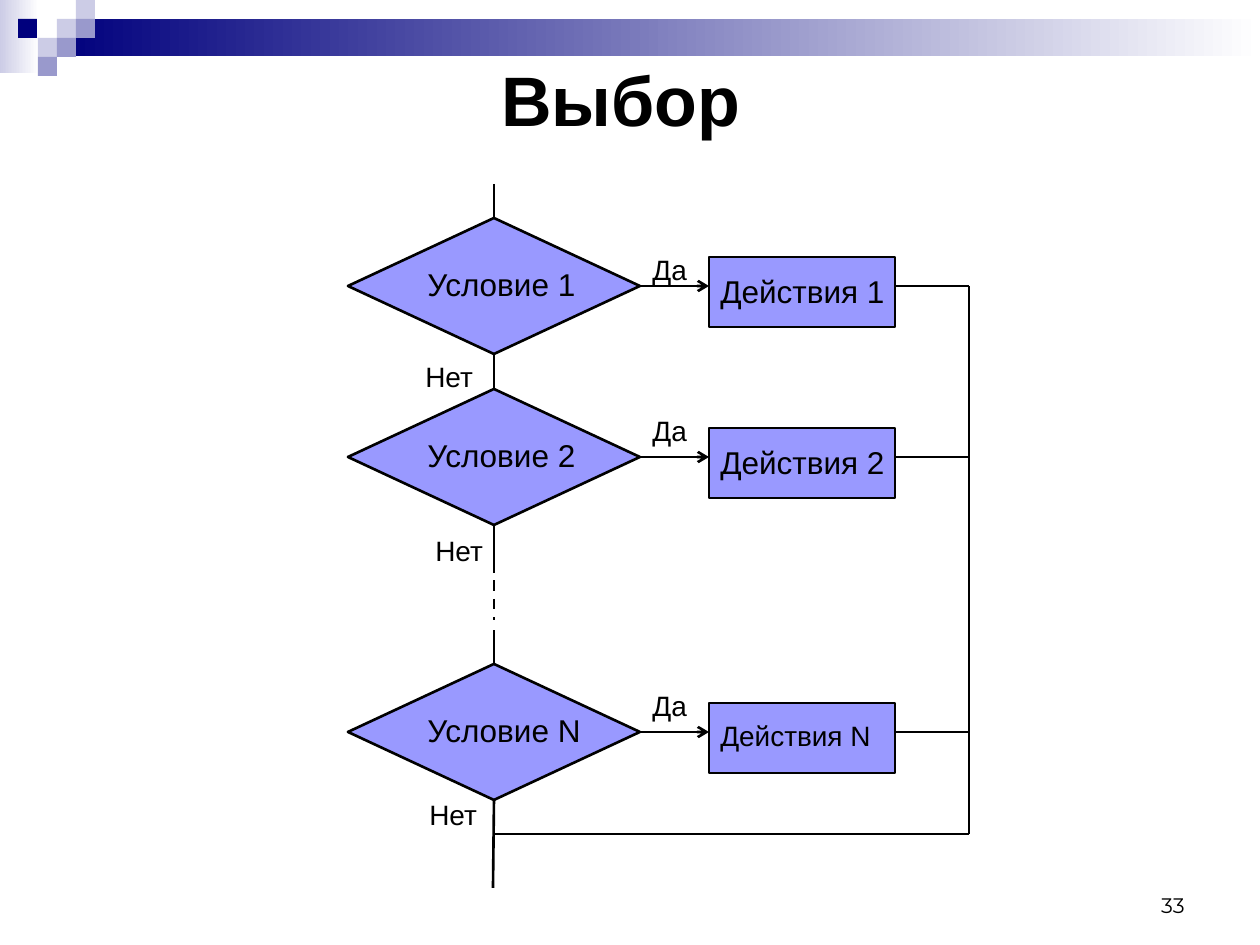
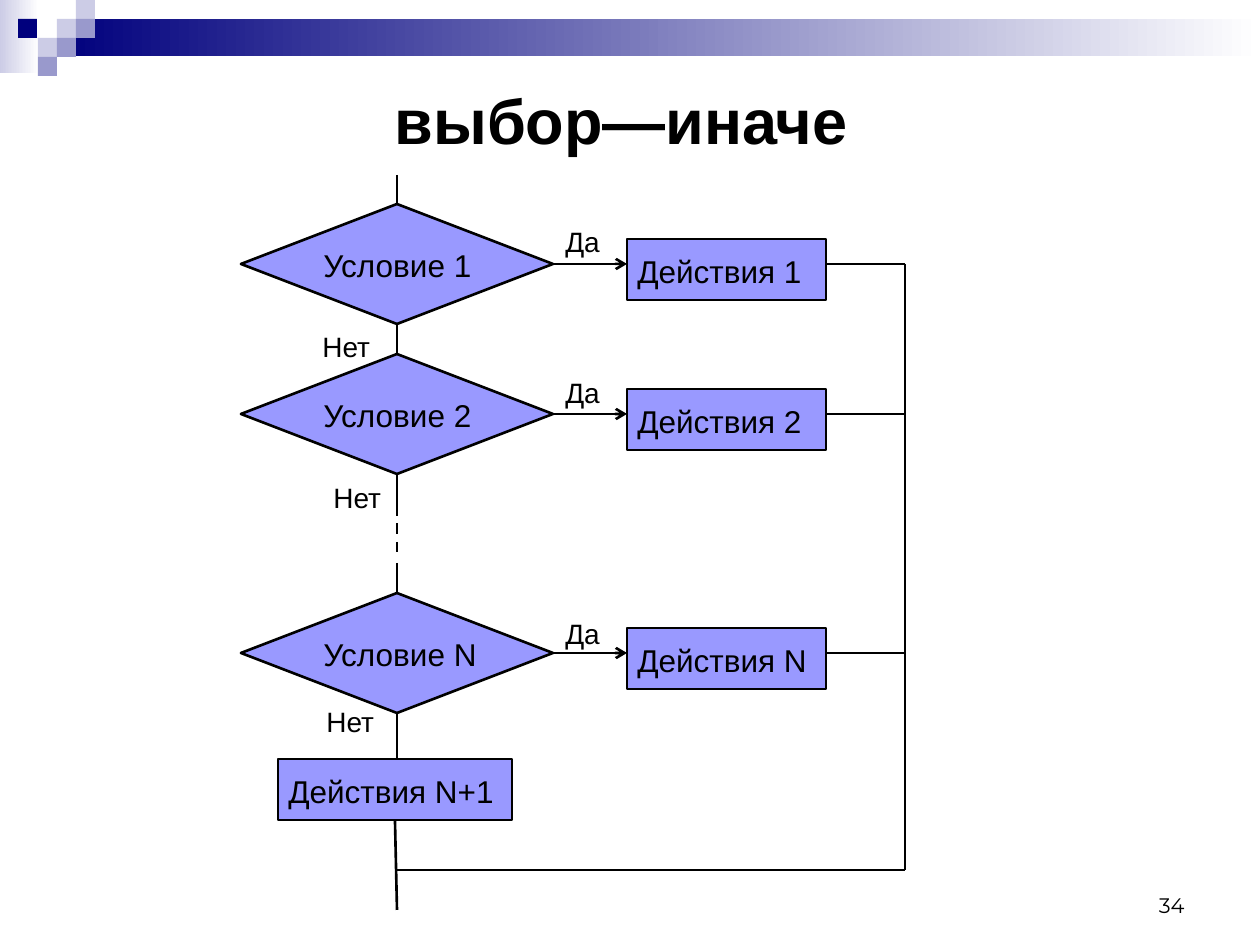
from pptx import Presentation
from pptx.dml.color import RGBColor
from pptx.enum import dml, shapes, text
from pptx.oxml.ns import qn
from pptx.util import Emu, Pt
from lxml import etree

# Content: lengths in px, 126 px to the inch
SCALE = 914400 / 126
COLOURS = {"ink": "000000", "block": "9999FF", "navy": "00007D",
           "pale": "CCCCE6", "mid": "9999CC", "white": "FFFFFF"}
TOP, LEFT, BOTTOM, RIGHT = range(4)

BANDS = [("pale", (0, 0, 39, 73)), ("navy", (57, 19, 1203, 37))]
SQUARE = 19
SQUARE_COLUMNS = (18, 38, 57, 76)
SQUARES = [("pale", 2, 1), ("pale", 3, 0), ("mid", 3, 1), ("pale", 1, 2),
           ("navy", 0, 1), ("mid", 2, 2), ("mid", 1, 3)]
NUMBER_AREA = (903, 861, 294, 63)

NAMES = ("1", "2", "N")
CHARTS = [
    {
        "title": "Выбор ", "title_area": (292, 63, 677, 72), "title_size": 40,
        "number": "33",
        "axis": 494, "start": 184, "tops": (218, 389, 664), "diamond": (292, 136),
        "condition_text": (415, 41, 205),
        "action": (709, 39, 186, 70), "action_text": (708, 9, 190),
        "action_sizes": (18, 18, 16),
        "yes": (640, 68), "yes_tops": (246, 407, 682),
        "no": [(413, 353), (423, 527), (417, 791)], "no_width": 100,
        "gap": (562, 620, 630), "rail": (969, 834), "exit": (493, 888),
        "otherwise": None,
    },
    {
        "title": "выбор—иначе ", "title_area": (63, 63, 1134, 112), "title_size": 36,
        "number": "34",
        "axis": 397, "start": 175, "tops": (204, 354, 593), "diamond": (312, 120),
        "condition_text": (311, 36, 219),
        "action": (627, 35, 199, 61), "action_text": (625, 7, 204),
        "action_sizes": (18, 18, 18),
        "yes": (553, 73), "yes_tops": (218, 369, 610),
        "no": [(310, 323), (321, 474), (314, 698)], "no_width": 107,
        "gap": (505, 556, 563), "rail": (905, 870), "exit": (397, 910),
        "otherwise": ("Действия N+1", (278, 759, 234, 61), (276, 239)),
    },
]


# Helpers
def px(*lengths):
    return [Emu(round(length * SCALE)) for length in lengths]


def colour(name):
    return RGBColor.from_string(COLOURS[name])


def add_text(page, words, area, size, align="LEFT", anchor="TOP", **look):
    box = page.shapes.add_textbox(*px(*area))
    frame = box.text_frame
    frame.word_wrap = True
    frame.vertical_anchor = getattr(text.MSO_ANCHOR, anchor)
    para = frame.paragraphs[0]
    para.alignment = getattr(text.PP_ALIGN, align)
    span = para.add_run()
    span.text = words
    for key, value in ({"name": "Arial", "size": Pt(size)} | look).items():
        setattr(span.font, key, value)
    span.font.color.rgb = colour("ink")


def add_block(page, area, fill, kind="RECTANGLE", outlined=False):
    block = page.shapes.add_shape(getattr(shapes.MSO_SHAPE, kind), *px(*area))
    block.shadow.inherit = False
    block.fill.solid()
    block.fill.fore_color.rgb = colour(fill)
    if outlined:
        block.line.color.rgb = colour("ink")
        block.line.width = Pt(1.5)
    else:
        block.line.fill.background()
    return block


def add_line(page, start, end, begin=None, finish=None, dashed=False, arrow=False):
    """Draw a line; begin and finish are (shape, side) pairs to join."""
    line = page.shapes.add_connector(shapes.MSO_CONNECTOR.STRAIGHT, *px(*start, *end))
    if begin:
        line.begin_connect(*begin)
    if finish:
        line.end_connect(*finish)
    line.line.color.rgb = colour("ink")
    line.line.width = Pt(1.5)
    if dashed:
        line.line.dash_style = dml.MSO_LINE.DASH
    if arrow:
        etree.SubElement(line.line._get_or_add_ln(), qn("a:tailEnd"), type="arrow")
    etree.SubElement(line._element.spPr, qn("a:effectLst"))


# Shared frame: bands, corner squares, title, page number
def add_frame(page, chart):
    for name, area in BANDS:
        band = add_block(page, area, name)
        band.fill.gradient()
        band.fill.gradient_angle = 0
        for stop, shade, position in zip(band.fill.gradient_stops, (name, "white"), (0, 1)):
            stop.color.rgb = colour(shade)
            stop.position = position
    for name, column, row in SQUARES:
        add_block(page, (SQUARE_COLUMNS[column], row * SQUARE, SQUARE, SQUARE), name)
    add_text(page, chart["number"], NUMBER_AREA, 12, "RIGHT", "BOTTOM", name="Montserrat")
    add_text(page, chart["title"], chart["title_area"], chart["title_size"],
             "CENTER", "MIDDLE", bold=True)


# Flowchart
def add_branches(page, chart):
    """Draw each condition with its action; return the diamonds."""
    axis, (width, height) = chart["axis"], chart["diamond"]
    action_left, action_drop, action_width, action_height = chart["action"]
    text_left, text_drop, text_width = chart["condition_text"]
    label_left, label_drop, label_width = chart["action_text"]
    yes_left, yes_width = chart["yes"]
    diamonds = []
    for name, top, size, yes_top, no_place in zip(
            NAMES, chart["tops"], chart["action_sizes"], chart["yes_tops"], chart["no"]):
        middle, action_top = top + height // 2, top + action_drop
        diamond = add_block(page, (axis - width // 2, top, width, height), "block",
                            "FLOWCHART_DECISION", outlined=True)
        diamonds.append(diamond)
        add_block(page, (action_left, action_top, action_width, action_height),
                  "block", outlined=True)
        add_line(page, (axis + width // 2, middle), (action_left, middle),
                 begin=(diamond, RIGHT), arrow=True)
        add_line(page, (action_left + action_width, middle), (chart["rail"][0], middle))
        add_text(page, f"Условие {name}", (text_left, top + text_drop, text_width, 50), 18)
        add_text(page, f"Действия {name}",
                 (label_left, action_top + label_drop, label_width, 50), size)
        add_text(page, "Да", (yes_left, yes_top, yes_width, 47), 16)
        add_text(page, "Нет", (*no_place, chart["no_width"], 47), 16)
    return diamonds


def add_flow(page, chart):
    first, second, last = add_branches(page, chart)
    axis, height = chart["axis"], chart["diamond"][1]
    tops = chart["tops"]
    bottoms = [top + height for top in tops]
    dash_start, dash_end, resume = chart["gap"]
    rail, floor = chart["rail"]

    # Main axis
    add_line(page, (axis, chart["start"]), (axis, tops[0]), finish=(first, TOP))
    add_line(page, (axis, bottoms[0]), (axis, tops[1]), (first, BOTTOM), (second, TOP))
    add_line(page, (axis, bottoms[1]), (axis, dash_start), begin=(second, BOTTOM))
    add_line(page, (axis, dash_start), (axis, dash_end), dashed=True)
    add_line(page, (axis, resume), (axis, tops[2]), finish=(last, TOP))

    # Closing branch and exit
    source, exit_start = last, (axis, bottoms[2])
    if chart["otherwise"]:
        words, area, (label_left, label_width) = chart["otherwise"]
        left, top, width, depth = area
        source = add_block(page, area, "block", outlined=True)
        add_line(page, exit_start, (axis, top), begin=(last, BOTTOM))
        add_text(page, words, (label_left, top + chart["action_text"][1], label_width, 50), 18)
        exit_start = (left + width // 2, top + depth)
    add_line(page, exit_start, chart["exit"], begin=(source, BOTTOM))

    # Return rail
    add_line(page, (rail, tops[0] + height // 2), (rail, floor))
    add_line(page, (min(exit_start[0], chart["exit"][0]), floor), (rail, floor))


def main():
    deck = Presentation()
    deck.slide_width, deck.slide_height = px(1260, 945)
    for chart in CHARTS:
        page = deck.slides.add_slide(deck.slide_layouts[6])
        add_frame(page, chart)
        add_flow(page, chart)
    deck.save("out.pptx")


if __name__ == "__main__":
    main()
